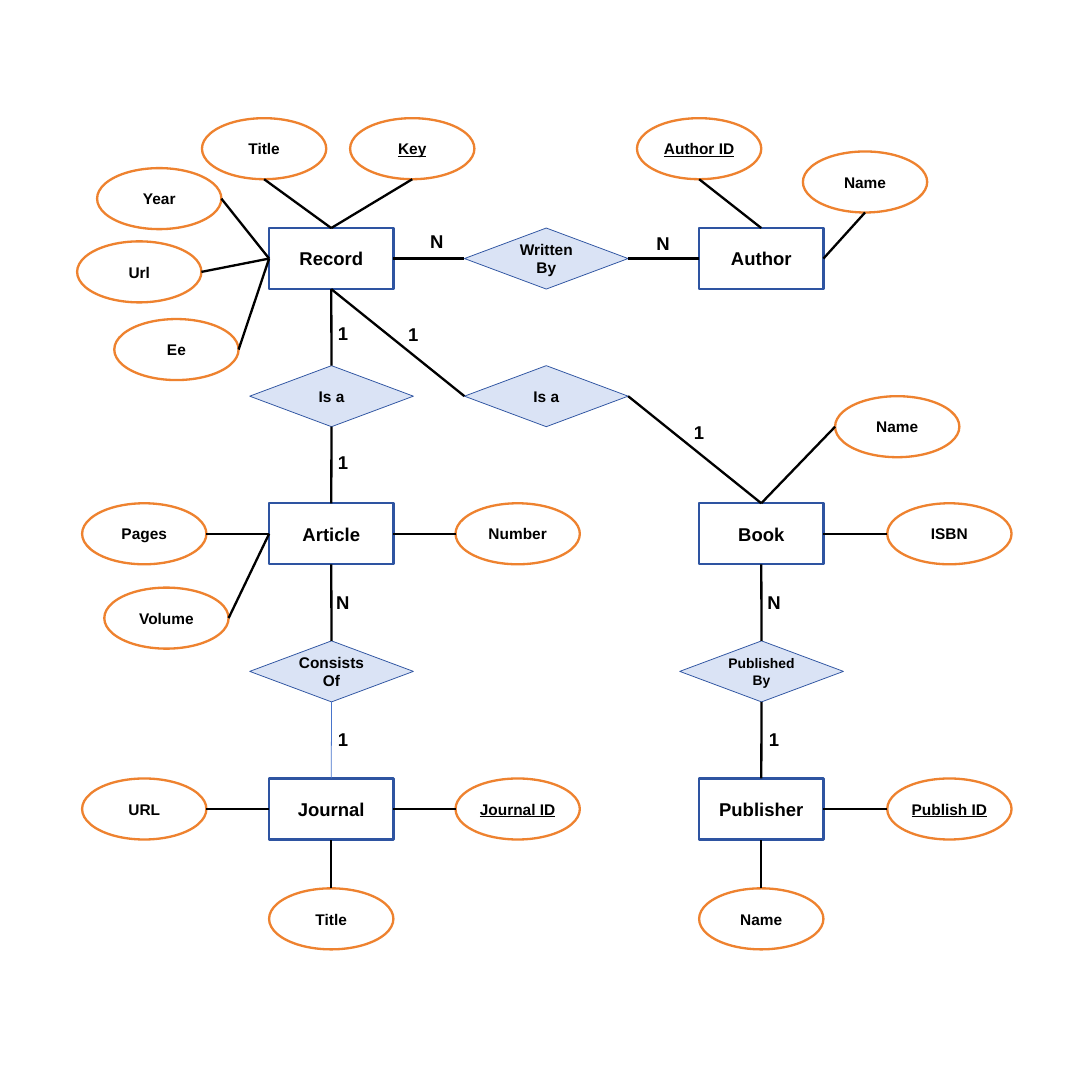
from lxml import etree
from pptx import Presentation, util as u
from pptx.dml.color import RGBColor
from pptx.enum import shapes, text
from pptx.oxml import ns

PX = 9144  # EMU, 100 px to the inch
BLACK = RGBColor(0x00, 0x00, 0x00)
WHITE = RGBColor(0xFF, 0xFF, 0xFF)
NAVY = RGBColor(0x2E, 0x54, 0xA1)
ORANGE = RGBColor(0xEE, 0x82, 0x2F)
PALE_BLUE = RGBColor(0xDA, 0xE3, 0xF5)
MID_BLUE = RGBColor(0x48, 0x74, 0xCB)

TOP, LEFT, BOTTOM, RIGHT = range(4)
NODE_W, NODE_H, DIAMOND_W = 224, 110, 295
COLUMN_CENTRES = (597, 984, 1372)
FIRST_ROW, ROW_STEP = 411, 248

# entity: (column, row, attributes)
# attribute: (label, dx, dy from the entity, own side, entity side, is key)
ENTITIES = {
    "Record": (0, 0, [
        ("Title", -121, -198, BOTTOM, TOP, False),
        ("Key", 146, -198, BOTTOM, TOP, True),
        ("Year", -310, -108, RIGHT, LEFT, False),
        ("Url", -346, 24, RIGHT, LEFT, False),
        ("Ee", -279, 164, RIGHT, LEFT, False)]),
    "Author": (2, 0, [
        ("Author ID", -112, -198, BOTTOM, TOP, True),
        ("Name", 187, -138, BOTTOM, RIGHT, False)]),
    "Article": (0, 2, [
        ("Pages", -337, 0, RIGHT, LEFT, False),
        ("Volume", -297, 152, RIGHT, LEFT, False),
        ("Number", 336, 0, LEFT, RIGHT, False)]),
    "Book": (2, 2, [
        ("Name", 245, -193, LEFT, TOP, False),
        ("ISBN", 339, 0, LEFT, RIGHT, False)]),
    "Journal": (0, 4, [
        ("URL", -337, 0, RIGHT, LEFT, False),
        ("Journal ID", 336, 0, LEFT, RIGHT, True),
        ("Title", 0, 198, TOP, BOTTOM, False)]),
    "Publisher": (2, 4, [
        ("Publish ID", 339, 0, LEFT, RIGHT, True),
        ("Name", 0, 198, TOP, BOTTOM, False)]),
}

# relationship: (label, column, row, text size, two links)
# link: (entity, entity side, diamond side, cardinality, dx, dy from the diamond)
RELATIONSHIPS = [
    ("Written\nBy", 1, 0, 20, [("Record", RIGHT, LEFT, "N", -142, -1),
                               ("Author", LEFT, RIGHT, "N", 266, 2)]),
    ("Is a", 0, 1, 20, [("Record", BOTTOM, TOP, "1", 76, -84),
                        ("Article", TOP, BOTTOM, "1", 76, 148)]),
    ("Is a", 1, 1, 20, [("Record", BOTTOM, LEFT, "1", -184, -82),
                        ("Book", TOP, RIGHT, "1", 331, 94)]),
    ("Consists\nOf", 0, 3, 20, [("Article", BOTTOM, TOP, "N", 76, -95),
                                ("Journal", TOP, BOTTOM, "1", 76, 152)]),
    ("Published\nBy", 2, 3, 18, [("Book", BOTTOM, TOP, "N", 78, -95),
                                 ("Publisher", TOP, BOTTOM, "1", 78, 152)]),
]


def cell(column, row, width):
    """Return the box of the given width centred in its column."""
    return (COLUMN_CENTRES[column] - width // 2, FIRST_ROW + row * ROW_STEP,
            width, NODE_H)


def emu(lengths):
    return [length * PX for length in lengths]


def write(shape, label, size, underline=None):
    frame = shape.text_frame
    frame.word_wrap = False
    frame.text = label
    for paragraph in frame.paragraphs:
        paragraph.alignment = text.PP_ALIGN.CENTER
        font = paragraph.font
        font.name, font.size, font.bold = "Arial", u.Pt(size), True
        font.underline = underline
        font.color.rgb = BLACK


def add_node(slide, kind, box, label, size, fill, outline, weight, underline=None):
    node = slide.shapes.add_shape(kind, *emu(box))
    node.shadow.inherit = False
    if fill is None:
        node.fill.background()
    else:
        node.fill.solid()
        node.fill.fore_color.rgb = fill
    node.line.color.rgb = outline
    node.line.width = u.Pt(weight)
    write(node, label, size, underline)
    node.text_frame.vertical_anchor = text.MSO_ANCHOR.MIDDLE
    return node


def side_middle(node, side):
    x = {LEFT: 0, RIGHT: node.width}.get(side, node.width // 2)
    y = {TOP: 0, BOTTOM: node.height}.get(side, node.height // 2)
    return node.left + x, node.top + y


def add_link(slide, start, start_side, entity, entity_side, color=BLACK, weight=3):
    link = slide.shapes.add_connector(
        shapes.MSO_CONNECTOR.STRAIGHT,
        *side_middle(start, start_side), *side_middle(entity, entity_side))
    link.end_connect(entity, entity_side)
    link.line.color.rgb = color
    link.line.width = u.Pt(weight)
    etree.SubElement(link._element.spPr, ns.qn("a:effectLst"))
    return link


def add_entity(slide, name, box, attributes):
    """Draw an entity in its box with its attributes around it."""
    entity = add_node(slide, shapes.MSO_SHAPE.RECTANGLE, box, name, 24,
                      WHITE, NAVY, 3)
    left, top, width, height = box
    for label, dx, dy, side, entity_side, is_key in attributes:
        attribute = add_node(slide, shapes.MSO_SHAPE.OVAL,
                             (left + dx, top + dy, width, height), label, 20,
                             None, ORANGE, 3, is_key or None)
        add_link(slide, attribute, side, entity, entity_side)
    return entity


def add_relationship(slide, label, box, size, links, entities):
    """Draw a diamond in its box, its links and their cardinalities."""
    diamond = add_node(slide, shapes.MSO_SHAPE.DIAMOND, box, label, size,
                       PALE_BLUE, NAVY, 1)
    left, top = box[:2]
    for name, entity_side, side, cardinality, dx, dy in links:
        style = (MID_BLUE, 1) if name == "Journal" else (BLACK, 3)
        link = add_link(slide, diamond, side, entities[name], entity_side, *style)
        link.begin_connect(diamond, side)
        mark = slide.shapes.add_textbox(*emu((left + dx, top + dy, 184, 54)))
        write(mark, cardinality, 24)
        mark.text_frame.word_wrap = True


def main():
    deck = Presentation()
    deck.slide_width = deck.slide_height = 1968 * PX
    slide = deck.slides.add_slide(deck.slide_layouts[6])
    entities = {
        name: add_entity(slide, name, cell(column, row, NODE_W), attributes)
        for name, (column, row, attributes) in ENTITIES.items()
    }
    for label, column, row, size, links in RELATIONSHIPS:
        add_relationship(slide, label, cell(column, row, DIAMOND_W), size,
                         links, entities)
    deck.save("out.pptx")


if __name__ == "__main__":
    main()
